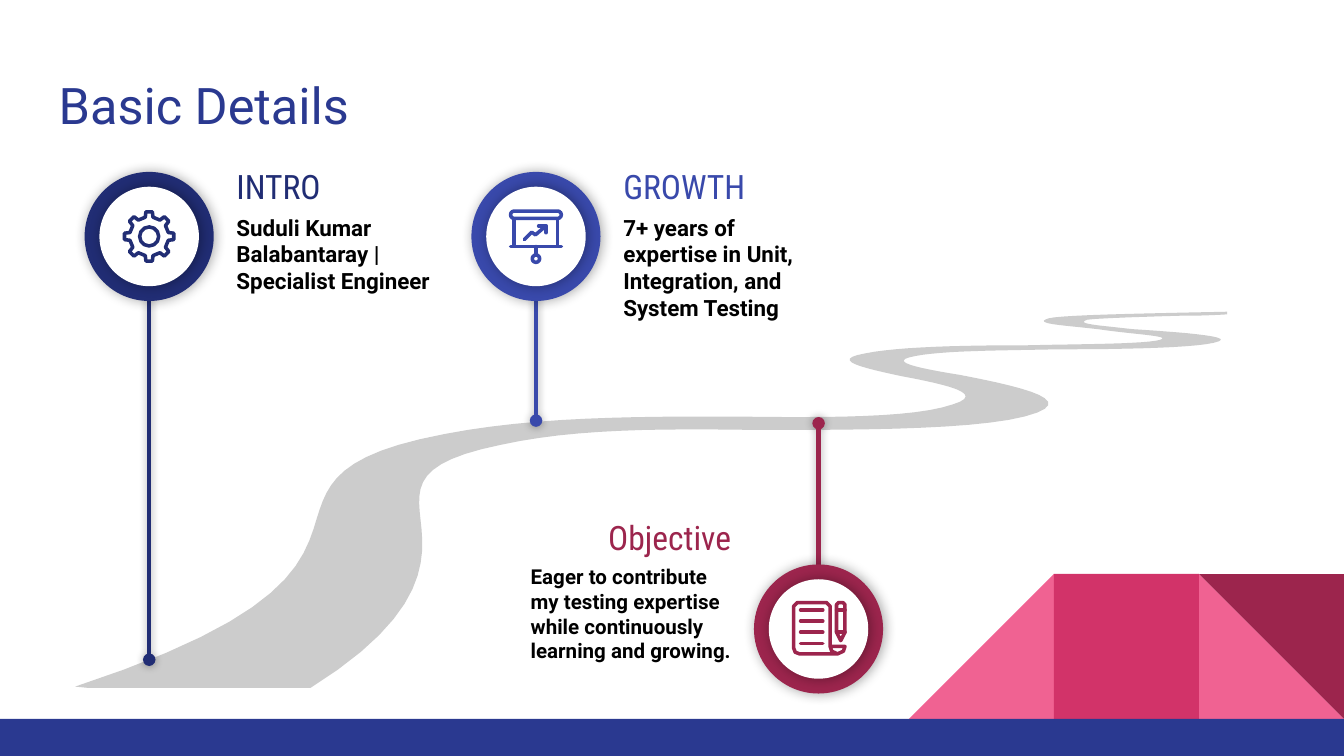
"""Build the "Basic Details" roadmap slide with three milestones."""
from math import cos, pi, sin

from lxml import etree
from pptx import Presentation
from pptx.dml.color import RGBColor
from pptx.enum.shapes import MSO_CONNECTOR, MSO_SHAPE
from pptx.enum.text import MSO_ANCHOR, PP_ALIGN
from pptx.oxml.ns import qn
from pptx.util import Cm, Pt

NAVY = RGBColor(0x21, 0x2D, 0x74)
INDIGO = RGBColor(0x39, 0x49, 0xAB)
MAROON = RGBColor(0x9C, 0x25, 0x4D)
BLUE = RGBColor(0x2A, 0x39, 0x90)
PINK = RGBColor(0xF0, 0x62, 0x92)
CRIMSON = RGBColor(0xD2, 0x33, 0x69)
GREY = RGBColor(0xCC, 0xCC, 0xCC)
BLACK = RGBColor(0, 0, 0)
WHITE = RGBColor(0xFF, 0xFF, 0xFF)

STRAIGHT = MSO_CONNECTOR.STRAIGHT
OVAL, RECT = MSO_SHAPE.OVAL, MSO_SHAPE.RECTANGLE
TRIANGLE, ROUNDED = MSO_SHAPE.RIGHT_TRIANGLE, MSO_SHAPE.ROUNDED_RECTANGLE
LEFT, RIGHT = PP_ALIGN.LEFT, PP_ALIGN.RIGHT
TOP, MIDDLE = MSO_ANCHOR.TOP, MSO_ANCHOR.MIDDLE

ROAD_UNIT = 2.54
UPPER_EDGE = [
    (9.13, 2.32), (8.73, 2.33), (7.91, 2.34), (7.8, 2.37), (7.68, 2.41), (7.91, 2.42),
    (8.17, 2.45), (8.44, 2.49), (8.73, 2.5), (8.63, 2.53), (8.52, 2.56), (8.09, 2.56),
    (7.63, 2.57), (7.18, 2.57), (6.68, 2.58), (6.44, 2.63), (6.16, 2.68), (6.43, 2.74),
    (6.71, 2.8), (7.03, 2.86), (7.35, 2.93), (7.09, 3.01), (6.8, 3.11), (6.16, 3.11),
    (5.44, 3.1), (4.74, 3.1), (3.98, 3.1), (3.31, 3.23), (2.51, 3.38), (2.44, 3.6),
    (2.36, 3.85), (2.26, 4.19), (2.14, 4.59), (0.56, 5.11)]
LOWER_EDGE = [
    (2.31, 5.12), (3.21, 4.56), (3.16, 4.14), (3.13, 3.87), (3.1, 3.61), (3.09, 3.44),
    (3.73, 3.31), (4.28, 3.19), (4.9, 3.19), (5.64, 3.2), (6.44, 3.2), (7.39, 3.2),
    (7.72, 3.07), (8, 2.96), (7.5, 2.86), (7.14, 2.79), (6.83, 2.74), (6.59, 2.69),
    (6.81, 2.65), (7.02, 2.61), (7.39, 2.61), (7.86, 2.6), (8.36, 2.6), (8.95, 2.59),
    (9.07, 2.54), (9.17, 2.5), (8.74, 2.47), (8.43, 2.45), (8.16, 2.42), (8, 2.41),
    (8.09, 2.38), (8.15, 2.37), (8.44, 2.36), (8.78, 2.35), (8.84, 2.35), (8.97, 2.35),
    (9.13, 2.34)]


def set_effects(shape, blur=0, offset=0):
    """Give the shape a soft black shadow, or none when blur is zero."""
    properties = shape._element.spPr
    effects = properties.find(qn("a:effectLst"))
    if effects is None:
        effects = etree.SubElement(properties, qn("a:effectLst"))
    if blur:
        shadow = etree.SubElement(effects, qn("a:outerShdw"), blurRad=str(Pt(blur)),
                                  dist=str(Pt(offset)), dir="0", rotWithShape="0")
        tint = etree.SubElement(shadow, qn("a:srgbClr"), val="000000")
        etree.SubElement(tint, qn("a:alpha"), val="34000")


def add_filled(slide, kind, x, y, width, height, color):
    """Add a preset shape with a plain fill and no line."""
    shape = slide.shapes.add_shape(kind, Cm(x), Cm(y), Cm(width), Cm(height))
    shape.shadow.inherit = False
    shape.fill.solid()
    shape.fill.fore_color.rgb = color
    shape.line.fill.background()
    return shape


def draw_stroke(shape, color):
    """Format an icon part as a rounded stroke."""
    shape.line.color.rgb = color
    shape.line.width = Pt(1.9)
    stroke = shape._element.spPr.find(qn("a:ln"))
    stroke.set("cap", "rnd")
    etree.SubElement(stroke, qn("a:round"))
    set_effects(shape)


def add_outline(slide, kind, center, x, y, width, height, color):
    """Add an unfilled preset shape placed relative to the icon center."""
    shape = slide.shapes.add_shape(kind, Cm(center[0] + x), Cm(center[1] + y),
                                   Cm(width), Cm(height))
    shape.fill.background()
    draw_stroke(shape, color)
    return shape


def build_path(slide, points, close):
    """Build a freeform through points given in centimetres."""
    vertices = [(Cm(x), Cm(y)) for x, y in points]
    builder = slide.shapes.build_freeform(*vertices[0])
    builder.add_line_segments(vertices[1:], close=close)
    return builder.convert_to_shape()


def add_path(slide, center, points, color, close=False):
    """Add a stroked path placed relative to the icon center."""
    path = build_path(slide, [(center[0] + x, center[1] + y) for x, y in points], close)
    path.fill.background()
    draw_stroke(path, color)


def add_stroke(slide, center, x1, y1, x2, y2, color):
    """Add a straight stroke placed relative to the icon center."""
    cx, cy = center
    stroke = slide.shapes.add_connector(STRAIGHT, Cm(cx + x1), Cm(cy + y1),
                                        Cm(cx + x2), Cm(cy + y2))
    draw_stroke(stroke, color)


def draw_gear(slide, center, color):
    """Draw a gear with eight teeth and a round hub."""
    teeth = [(radius, tooth * pi / 4 + angle) for tooth in range(8)
             for angle, radius in ((-0.2, 0.37), (-0.13, 0.47), (0.13, 0.47), (0.2, 0.37))]
    add_path(slide, center, [(r * cos(a), r * sin(a)) for r, a in teeth], color, close=True)
    add_outline(slide, OVAL, center, -0.18, -0.18, 0.36, 0.36, color)


def draw_board(slide, center, color):
    """Draw a presentation board with a rising arrow."""
    bar = add_outline(slide, ROUNDED, center, -0.48, -0.48, 0.96, 0.14, color)
    bar.adjustments[0] = 0.5
    add_outline(slide, RECT, center, -0.41, -0.34, 0.82, 0.53, color)
    add_stroke(slide, center, -0.48, 0.19, 0.48, 0.19, color)
    add_stroke(slide, center, 0, 0.19, 0, 0.35, color)
    add_outline(slide, OVAL, center, 0 - 0.07, 0.35, 0.14, 0.14, color)
    add_path(slide, center, [(-0.22, 0.06), (-0.08, -0.08), (-0.01, -0.03), (0.19, -0.2)], color)
    add_path(slide, center, [(0.05, -0.2), (0.19, -0.2), (0.19, -0.07)], color)


def draw_document(slide, center, color):
    """Draw a curled page with four text lines and a pencil."""
    add_path(slide, center, [
        (0.36, 0.47), (0.25, 0.42), (0.22, 0.33), (0.22, -0.43), (0.15, -0.5), (-0.4, -0.5),
        (-0.47, -0.43), (-0.47, 0.36), (-0.44, 0.44), (-0.36, 0.47), (0.36, 0.47),
        (0.47, 0.42), (0.5, 0.33), (0.22, 0.33)], color)
    for row in range(4):
        y = -0.36 + 0.21 * row
        add_stroke(slide, center, -0.34, y, 0.08, y, color)
    add_path(slide, center, [(0.34, -0.46), (0.38, -0.5), (0.46, -0.5), (0.5, -0.46),
                             (0.5, 0.06), (0.42, 0.22), (0.34, 0.06)], color, close=True)
    for y in (-0.36, 0.06):
        add_stroke(slide, center, 0.34, y, 0.5, y, color)


def format_text(shape, text, size, font, color, align=LEFT, anchor=TOP, bold=False):
    """Set the text of a shape and format its frame, paragraph and run."""
    frame = shape.text_frame
    frame.text = text
    frame.word_wrap = True
    frame.vertical_anchor = anchor
    frame.margin_left = frame.margin_right = Cm(0.25)
    frame.margin_top = frame.margin_bottom = Cm(0.25)
    paragraph = frame.paragraphs[0]
    paragraph.alignment = align
    style = paragraph.runs[0].font
    style.size, style.name, style.bold = Pt(size), font, bold
    style.color.rgb = color


def add_marker(slide, center, road_y, color, draw_icon):
    """Add a ringed icon with a pin that reaches the road."""
    x, y = center
    pin = slide.shapes.add_connector(STRAIGHT, Cm(x), Cm(y), Cm(x), Cm(road_y))
    pin.line.color.rgb = color
    pin.line.width = Pt(2.25)
    etree.SubElement(pin._element.spPr.find(qn("a:ln")), qn("a:tailEnd"), type="oval")
    set_effects(pin, 4.5)
    for diameter, fill in ((2.44, color), (1.88, WHITE)):
        ring = add_filled(slide, OVAL, x - diameter / 2, y - diameter / 2,
                          diameter, diameter, fill)
        set_effects(ring, 6.8, 0.8)
    draw_icon(slide, center, color)


def add_caption(slide, x, y, heading, detail, height, size, color, align):
    """Add a milestone heading with its detail text below."""
    detail_box = slide.shapes.add_textbox(Cm(x), Cm(y + 0.69), Cm(4.29), Cm(height))
    format_text(detail_box, detail, size, "Roboto", BLACK, bold=True)
    heading_box = slide.shapes.add_textbox(Cm(x), Cm(y), Cm(4.29), Cm(0.84))
    format_text(heading_box, heading, 18, "Roboto Condensed", color, align, MIDDLE)


def add_footer(slide):
    """Add the blue band and the row of pink blocks above it."""
    side, top = 2.74, 10.85
    first, second, third = (25.4 - side * count for count in (3, 2, 1))
    add_filled(slide, TRIANGLE, third, top, side, side, PINK)
    slope = add_filled(slide, TRIANGLE, first, top, side, side, PINK)
    slope._element.spPr.find(qn("a:xfrm")).set("flipH", "1")
    add_filled(slide, RECT, second, top, side, side, CRIMSON)
    add_filled(slide, TRIANGLE, third, top, side, side, MAROON).rotation = 180
    add_filled(slide, RECT, 0, top + side, 25.4, 0.7, BLUE)


def trace_edge(knots, steps=12):
    """Return points along a chain of cubic curves, in centimetres."""
    points = [knots[0]]
    for start in range(0, len(knots) - 1, 3):
        a, b, c, d = knots[start:start + 4]
        for step in range(1, steps + 1):
            t = step / steps
            weights = ((1 - t) ** 3, 3 * t * (1 - t) ** 2, 3 * t * t * (1 - t), t ** 3)
            points.append(tuple(sum(w * knot[axis] for w, knot in zip(weights, (a, b, c, d)))
                                for axis in (0, 1)))
    return [(x * ROAD_UNIT, y * ROAD_UNIT) for x, y in points]


def add_road(slide):
    """Add the winding grey road."""
    corner = (0.66 * ROAD_UNIT, 5.12 * ROAD_UNIT)
    road = build_path(slide, trace_edge(UPPER_EDGE) + [corner] + trace_edge(LOWER_EDGE), True)
    road.shadow.inherit = False
    road.fill.solid()
    road.fill.fore_color.rgb = GREY
    road.line.fill.background()


def main():
    """Create the slide and save it."""
    deck = Presentation()
    deck.slide_width, deck.slide_height = Cm(25.4), Cm(14.29)
    slide = deck.slides.add_slide(deck.slide_layouts[5])
    title = slide.shapes.title
    title.left, title.top, title.width, title.height = Cm(0.86), Cm(1.14), Cm(23.67), Cm(1.68)
    format_text(title, "Basic Details", 27, "Roboto", BLUE, anchor=MIDDLE)
    add_footer(slide)
    add_road(slide)
    add_marker(slide, (2.82, 4.47), 12.47, NAVY, draw_gear)
    add_caption(slide, 4.22, 3.1, "INTRO", "Suduli Kumar Balabantaray | Specialist Engineer",
                3.73, 12, NAVY, LEFT)
    add_marker(slide, (10.13, 4.47), 7.95, INDIGO, draw_board)
    add_caption(slide, 11.53, 3.1, "GROWTH",
                "7+ years of expertise in Unit, Integration, and System Testing",
                2.64, 12, INDIGO, LEFT)
    add_marker(slide, (15.47, 11.89), 8, MAROON, draw_document)
    add_caption(slide, 9.78, 9.73, "Objective",
                "Eager to contribute my testing expertise while continuously learning and growing.",
                2.39, 11, MAROON, RIGHT)
    deck.save("out.pptx")


if __name__ == "__main__":
    main()
